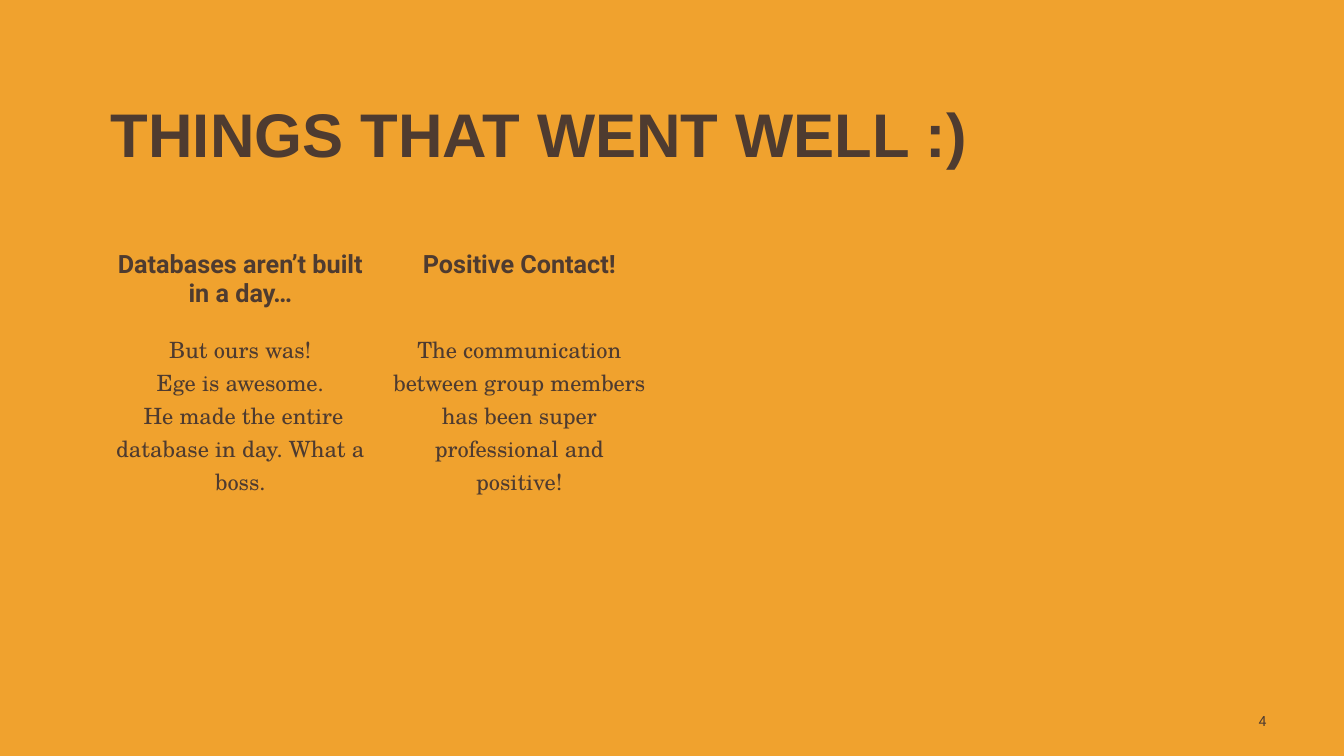
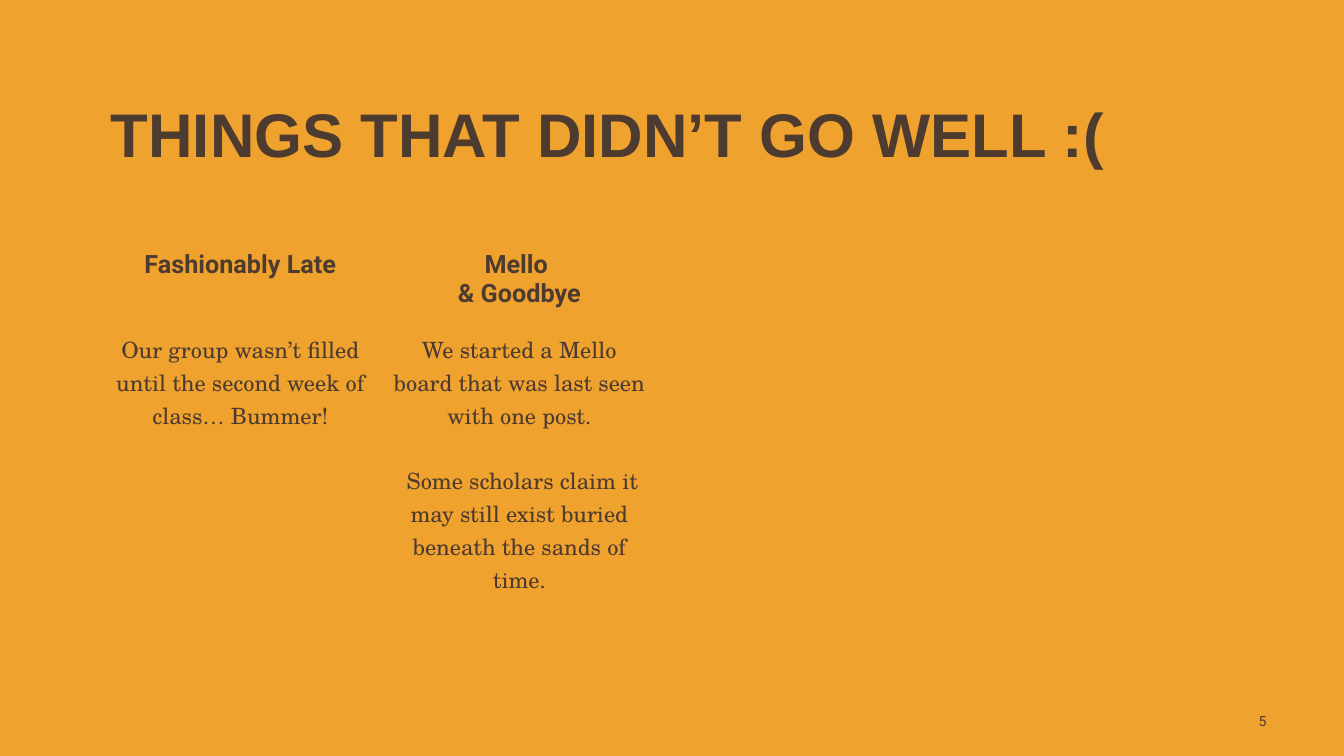
from lxml import etree
from pptx import Presentation
from pptx.dml.color import RGBColor
from pptx.enum import text
from pptx.oxml import ns
from pptx.util import Inches, Pt

COLORS = {"background": "F0A22E", "ink": "4E3B30"}
COLUMNS = 4
ROW_HEIGHTS = (0.83, 3.17)
BLANK_LINE = 23.3

SLIDES = [
    (
        "THINGS THAT WENT WELL :)",
        4,
        [
            (
                ["Databases aren’t built in a day…"],
                ["But ours was!", "Ege is awesome.",
                 " He made the entire database in day. What a boss."],
                0,
            ),
            (
                ["Positive Contact!"],
                ["The communication between group members has been super "
                 "professional and positive!"],
                0,
            ),
        ],
    ),
    (
        "THINGS THAT DIDN’T GO WELL :(",
        5,
        [
            (
                ["Fashionably Late"],
                ["Our group wasn’t filled until the second week of class… Bummer!"],
                0,
            ),
            (
                ["Mello ", "& Goodbye"],
                ["We started a Mello board that was last seen with one post.",
                 " Some scholars claim it may still exist buried beneath the "
                 "sands of time."],
                BLANK_LINE,
            ),
        ],
    ),
]


class Deck:
    def __init__(self):
        self.prs = Presentation()
        self.prs.slide_width = Inches(13.33)
        self.prs.slide_height = Inches(7.5)
        fill = self.prs.slide_master.background.fill
        fill.solid()
        fill.fore_color.rgb = RGBColor.from_string(COLORS["background"])
        self.s = None

    def new_slide(self):
        self.s = self.prs.slides.add_slide(self.prs.slide_layouts[5])

    def add_lines(self, tf, lines, font, size, align, bold=False, gap=0):
        tf.word_wrap = True
        for i, line in enumerate(lines):
            p = tf.add_paragraph() if i else tf.paragraphs[0]
            p.alignment = align
            p.space_before = Pt(gap if i else 0)
            r = p.add_run()
            r.text = line
            r.font.name = font
            r.font.size = Pt(size)
            r.font.bold = bold
            r.font.color.rgb = RGBColor.from_string(COLORS["ink"])

    def title(self, words):
        sp = self.s.shapes.title
        sp.left, sp.top = Inches(1), Inches(0.98)
        sp.width, sp.height = Inches(11.5), Inches(1.45)
        tf = sp.text_frame
        tf.auto_size = text.MSO_AUTO_SIZE.NONE
        tf.vertical_anchor = text.MSO_ANCHOR.TOP
        self.add_lines(tf, [words], "Arial", 44, text.PP_ALIGN.LEFT, bold=True)
        tf.paragraphs[0].line_spacing = 0.9

    def page_number(self, number):
        sp = self.s.shapes.add_textbox(
            Inches(12.16), Inches(6.95), Inches(0.5), Inches(0.4))
        tf = sp.text_frame
        tf.vertical_anchor = text.MSO_ANCHOR.MIDDLE
        self.add_lines(tf, [str(number)], "Roboto", 10, text.PP_ALIGN.RIGHT)

    def clear_cell(self, cell):
        tcPr = cell._tc.get_or_add_tcPr()
        for side in ("a:lnL", "a:lnR", "a:lnT", "a:lnB"):
            ln = etree.SubElement(tcPr, ns.qn(side))
            etree.SubElement(ln, ns.qn("a:noFill"))
        cell.fill.background()

    def topic_table(self, topics):
        table = self.s.shapes.add_table(
            len(ROW_HEIGHTS), COLUMNS, Inches(1), Inches(2.43),
            Inches(11.07), Inches(sum(ROW_HEIGHTS))).table
        table.first_row = table.horz_banding = False
        for row, height in zip(table.rows, ROW_HEIGHTS):
            row.height = Inches(height)
        for cell in table.iter_cells():
            self.clear_cell(cell)
        center = text.PP_ALIGN.CENTER
        for col, (heading, body, gap) in enumerate(topics):
            self.add_lines(table.cell(0, col).text_frame, heading,
                           "Roboto", 18, center, bold=True)
            self.add_lines(table.cell(1, col).text_frame, body,
                           "TeX Gyre Schola", 16, center, gap=gap)


def main():
    deck = Deck()
    for title, number, topics in SLIDES:
        deck.new_slide()
        deck.title(title)
        deck.page_number(number)
        deck.topic_table(topics)
    deck.prs.save("out.pptx")


if __name__ == "__main__":
    main()
